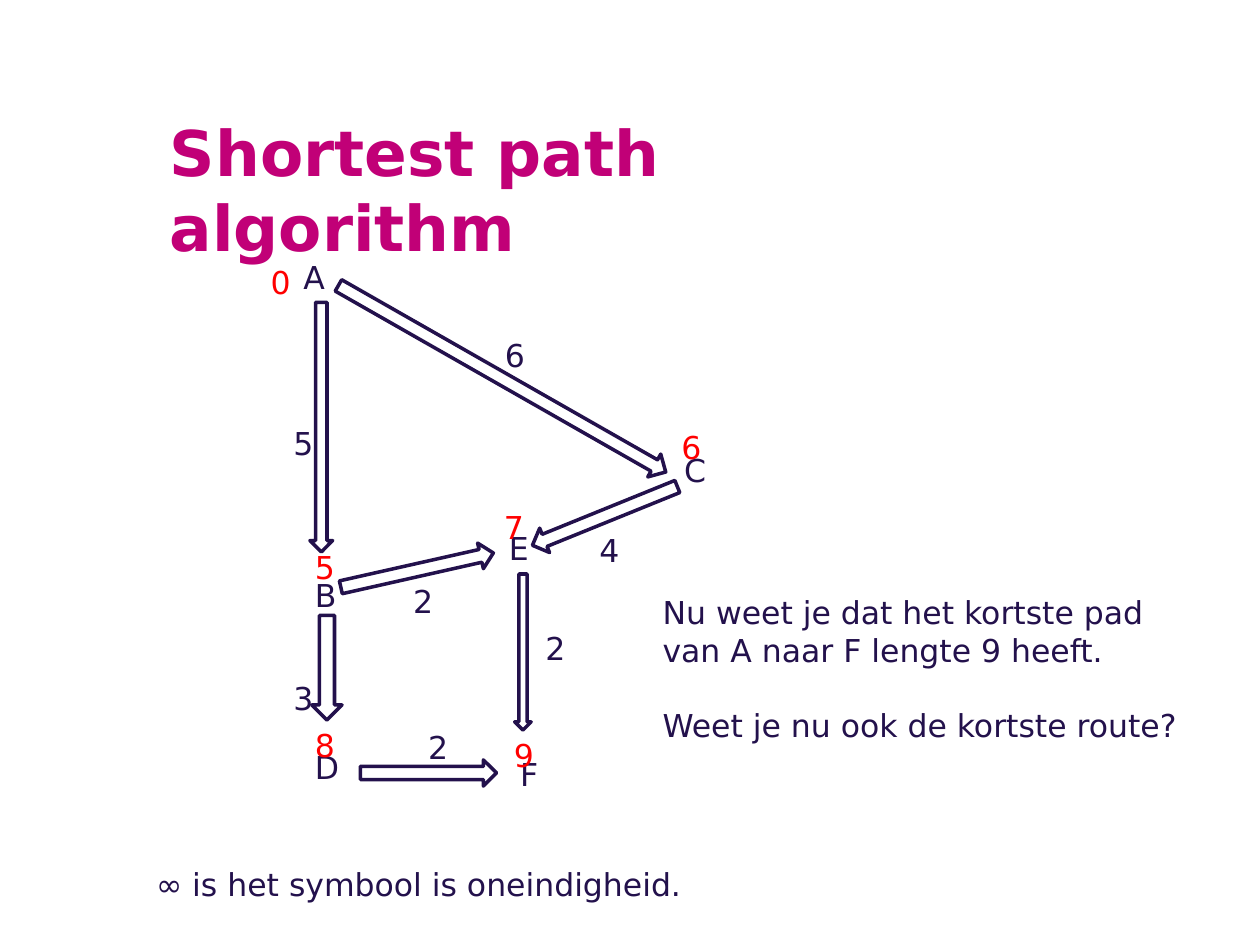
import math
from dataclasses import dataclass

from pptx import Presentation
from pptx.dml.color import RGBColor
from pptx.enum import shapes, text
from pptx.util import Pt


@dataclass(frozen=True)
class Theme:
    font: str = "DejaVu Sans"
    ink: RGBColor = RGBColor(0x23, 0x11, 0x4C)
    accent: RGBColor = RGBColor(0xC1, 0x00, 0x77)
    distance: RGBColor = RGBColor(0xFF, 0x00, 0x00)
    paper: RGBColor = RGBColor(0xFF, 0xFF, 0xFF)
    title_size: int = 36
    body_size: int = 18
    outline: int = 2


THEME = Theme()

NODES = [
    ("A", 166.3, 144), ("B", 172.8, 325.4), ("C", 383.8, 254.2),
    ("D", 172.8, 424.1), ("E", 283.7, 298.8), ("F", 290.2, 427.7),
]
EDGES = [
    ((193.4, 163.1), (380.4, 269.7), 15),
    ((183.6, 172.8), (183.6, 315.4), 13),
    ((194.8, 335.6), (281.9, 316), 15),
    ((387, 278), (304.2, 311.6), 15),
    ((186.8, 351.7), (186.8, 411.5), 17.3),
    ((205.9, 441.7), (283.7, 441.7), 15),
    ((298.8, 328), (298.8, 417.2), 9.4),
]
WEIGHTS = [
    ("6", 281.5, 188.6), ("5", 160.6, 239), ("4", 335.5, 300.2),
    ("3", 160.6, 384.5), ("2", 229, 329), ("2", 237.6, 412.6),
    ("2", 304.6, 355.7),
]
DISTANCES = [
    ("0", 147.6, 146.9), ("5", 172.8, 309.6), ("6", 382.3, 241.2),
    ("7", 280.8, 286.6), ("8", 172.8, 411.1), ("9", 286.6, 416.9),
]


def add_text(page, lines, left, top, width, height, color=THEME.ink,
             size=THEME.body_size, bold=False, wrap=True, gap=0):
    box = page.shapes.add_textbox(Pt(left), Pt(top), Pt(width), Pt(height))
    frame = box.text_frame
    frame.word_wrap = wrap
    frame.auto_size = text.MSO_AUTO_SIZE.SHAPE_TO_FIT_TEXT
    for index, line in enumerate(lines):
        para = frame.add_paragraph() if index else frame.paragraphs[0]
        para.text = line
        para.font.name = THEME.font
        para.font.size = Pt(size)
        para.font.bold = bold
        para.font.color.rgb = color
        if index:
            para.space_before = Pt(gap)


def add_labels(page, labels, width, height, color=THEME.ink):
    for label, left, top in labels:
        add_text(page, [label], left, top, width, height, color, wrap=False)


def add_edge(page, start, end, thickness):
    run, rise = end[0] - start[0], end[1] - start[1]
    length = math.hypot(run, rise)
    left = (start[0] + end[0] - length) / 2
    top = (start[1] + end[1] - thickness) / 2
    arrow = page.shapes.add_shape(
        shapes.MSO_SHAPE.RIGHT_ARROW, Pt(left), Pt(top), Pt(length), Pt(thickness))
    arrow.rotation = math.degrees(math.atan2(rise, run))
    arrow.shadow.inherit = False
    arrow.fill.solid()
    arrow.fill.fore_color.rgb = THEME.paper
    arrow.line.color.rgb = THEME.ink
    arrow.line.width = Pt(THEME.outline)


def main():
    deck = Presentation()
    deck.slide_width, deck.slide_height = Pt(720), Pt(540)
    page = deck.slides.add_slide(deck.slide_layouts[6])

    add_text(page, ["Shortest path algorithm"], 90, 61.2, 424.8, 51.1,
             THEME.accent, THEME.title_size, bold=True)
    add_labels(page, NODES, 24.5, 28.8)
    for start, end, thickness in EDGES:
        add_edge(page, start, end, thickness)
    add_labels(page, WEIGHTS, 23.8, 28.8)
    add_labels(page, DISTANCES, 23, 23, THEME.distance)
    add_text(page, ["∞ is het symbool is oneindigheid."], 82.1, 491, 351.4, 23)
    add_text(page, ["Nu weet je dat het kortste pad van A naar F lengte 9 heeft.",
                    "Weet je nu ook de kortste route?"],
             371.5, 335.5, 323.3, 94.3, gap=21)

    deck.save("out.pptx")


if __name__ == "__main__":
    main()
